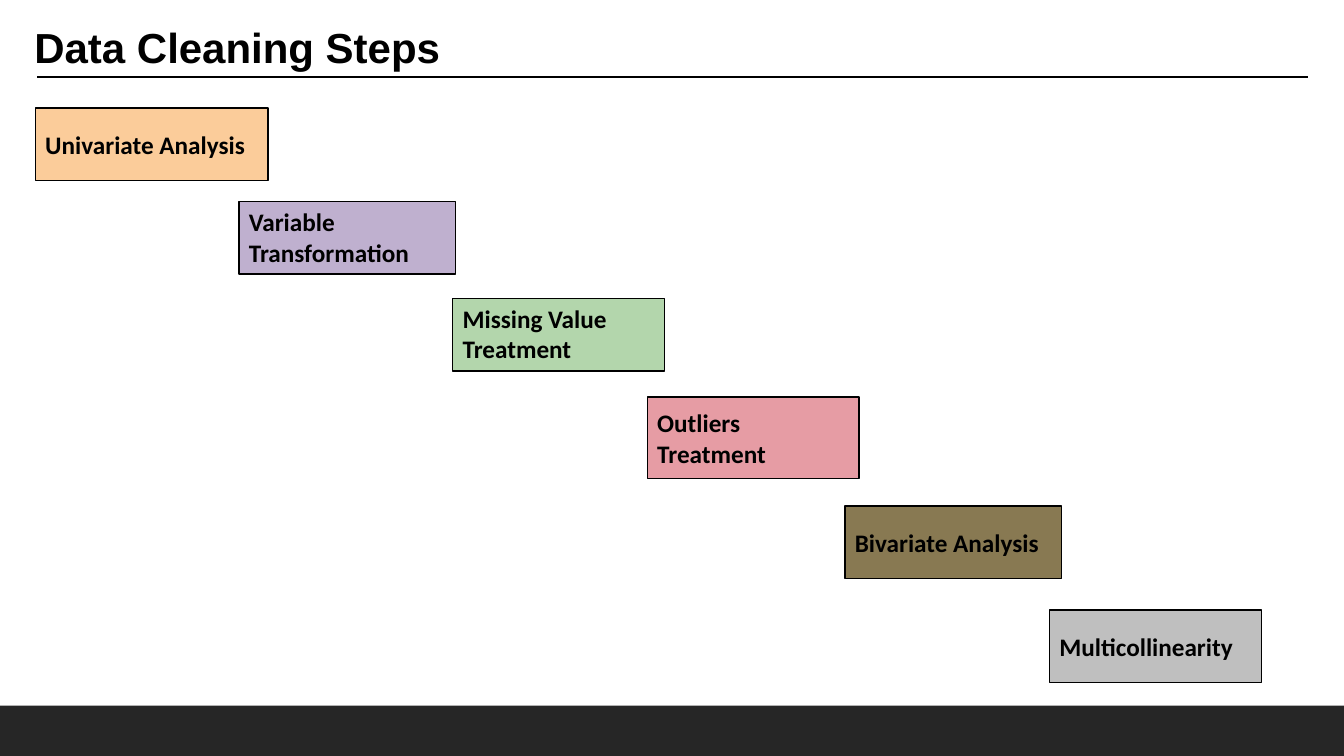
import dataclasses

import pptx
import pptx.dml.color
import pptx.enum.shapes
import pptx.enum.text
import pptx.oxml
import pptx.oxml.ns
import pptx.util

Inches = pptx.util.Inches
Anchor = pptx.enum.text.MSO_ANCHOR


@dataclasses.dataclass(frozen=True)
class Theme:
    ink: str = "000000"
    footer: str = "262626"
    title_font: str = "Arial"
    step_font: str = "Calibri"
    title_size: int = 30
    step_size: int = 18
    rule_width: float = 1.5
    border_width: float = 1


@dataclasses.dataclass(frozen=True)
class Step:
    label: str
    left: float
    top: float
    width: float
    fill: str
    height: float = 0.72
    anchor: Anchor = Anchor.MIDDLE


THEME = Theme()
SLIDE_WIDTH, SLIDE_HEIGHT = 13.33, 7.5
FOOTER_HEIGHT = 0.5

STEPS = [
    Step("Univariate Analysis", 0.35, 1.07, 2.31, "FBCC9A"),
    Step("Variable Transformation", 2.37, 2, 2.15, "BFB0CF", anchor=Anchor.TOP),
    Step("Missing Value Treatment", 4.49, 2.96, 2.1, "B3D6AC", anchor=Anchor.TOP),
    Step("Outliers Treatment", 6.42, 3.94, 2.1, "E69CA4", height=0.81),
    Step("Bivariate Analysis", 8.38, 5.02, 2.15, "887952"),
    Step("Multicollinearity", 10.41, 6.05, 2.1, "BFBFBF"),
]


def color(value: str) -> pptx.dml.color.RGBColor:
    return pptx.dml.color.RGBColor.from_string(value)


def write(shape, text: str, font: str, size: int, anchor: Anchor) -> None:
    """Fill a shape with bold, left-aligned text."""
    frame = shape.text_frame
    frame.text = text
    frame.word_wrap = True
    frame.vertical_anchor = anchor
    para = frame.paragraphs[0]
    para.alignment = pptx.enum.text.PP_ALIGN.LEFT
    for span in para.runs:
        span.font.name = font
        span.font.size = pptx.util.Pt(size)
        span.font.bold = True
        span.font.color.rgb = color(THEME.ink)


def add_box(page, left: float, top: float, width: float, height: float, fill: str):
    box = page.shapes.add_shape(
        pptx.enum.shapes.MSO_SHAPE.RECTANGLE,
        Inches(left), Inches(top), Inches(width), Inches(height),
    )
    box.shadow.inherit = False
    box.fill.solid()
    box.fill.fore_color.rgb = color(fill)
    box.line.fill.background()
    return box


def add_title(page, text: str) -> None:
    title = page.shapes.title
    title.left, title.top = Inches(0.24), Inches(0.16)
    title.width, title.height = Inches(12.64), Inches(0.61)
    write(title, text, THEME.title_font, THEME.title_size, Anchor.TOP)
    title.text_frame.auto_size = pptx.enum.text.MSO_AUTO_SIZE.SHAPE_TO_FIT_TEXT


def add_rule(page, left: float, right: float, top: float) -> None:
    rule = page.shapes.add_connector(
        pptx.enum.shapes.MSO_CONNECTOR.STRAIGHT,
        Inches(left), Inches(top), Inches(right), Inches(top),
    )
    rule.line.color.rgb = color(THEME.ink)
    rule.line.width = pptx.util.Pt(THEME.rule_width)
    properties = rule._element.spPr
    properties.append(pptx.oxml.parse_xml(
        f"<a:effectLst {pptx.oxml.ns.nsdecls('a')}/>"))


def add_step(page, step: Step) -> None:
    box = add_box(page, step.left, step.top, step.width, step.height, step.fill)
    box.line.color.rgb = color(THEME.ink)
    box.line.width = pptx.util.Pt(THEME.border_width)
    write(box, step.label, THEME.step_font, THEME.step_size, step.anchor)


def main() -> None:
    deck = pptx.Presentation()
    deck.slide_width = Inches(SLIDE_WIDTH)
    deck.slide_height = Inches(SLIDE_HEIGHT)
    page = deck.slides.add_slide(deck.slide_layouts.get_by_name("Title Only"))

    # Footer band
    add_box(page, 0, SLIDE_HEIGHT - FOOTER_HEIGHT, SLIDE_WIDTH, FOOTER_HEIGHT,
            THEME.footer)

    # Heading
    add_title(page, "Data Cleaning Steps")
    add_rule(page, 0.37, 12.97, 0.76)

    # Staircase of steps
    for step in STEPS:
        add_step(page, step)

    deck.save("out.pptx")


if __name__ == "__main__":
    main()
